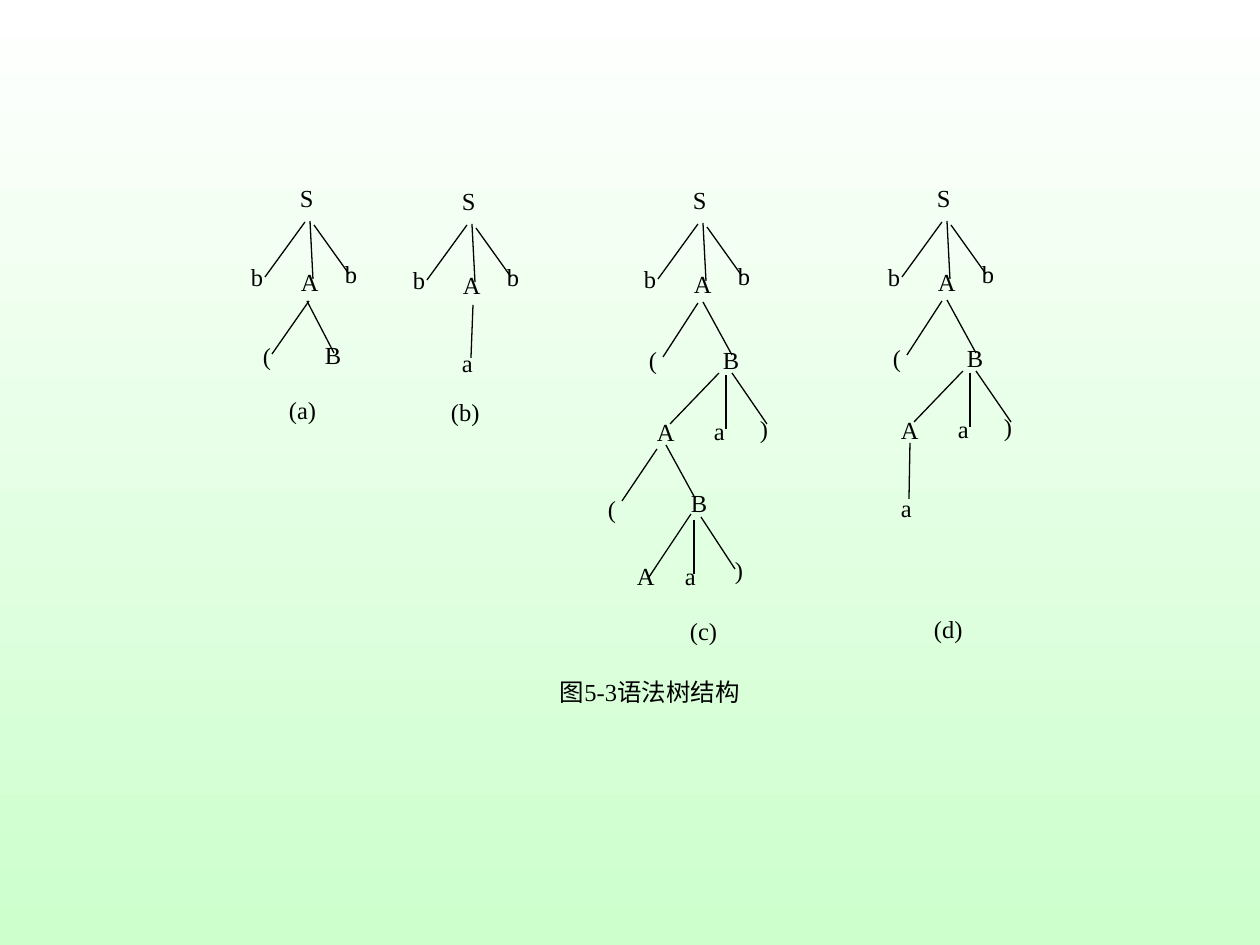
from dataclasses import dataclass

from lxml import etree
from pptx import Presentation
from pptx.dml.color import RGBColor
from pptx.enum.shapes import MSO_CONNECTOR
from pptx.enum.text import PP_ALIGN
from pptx.oxml.ns import qn
from pptx.slide import Slide
from pptx.util import Pt

PX = 914400 / 126
STRAIGHT = MSO_CONNECTOR.STRAIGHT
JUSTIFY, CENTER = PP_ALIGN.JUSTIFY, PP_ALIGN.CENTER
BLACK = RGBColor(0x00, 0x00, 0x00)
WHITE = RGBColor(0xFF, 0xFF, 0xFF)
LIGHT_GREEN = RGBColor(0xCC, 0xFF, 0xCC)

# Grammar productions: (symbol, its offset, edge start, edge end), from the parent
START = [("b", (-49, 79), (5, 39), (-35, 94)),
         ("A", (1, 84), (10, 38), (13, 96)),
         ("b", (45, 76), (14, 42), (49, 91))]
SHORT_PAIR = [("(", (-38, 74), (8, 34), (-29, 87)),
              ("B", (24, 73), (6, 34), (33, 86))]
UPPER_PAIR = [("(", (-45, 76), (4, 34), (-31, 88)),
              ("B", (29, 76), (9, 33), (38, 86))]
LOWER_PAIR = [("(", (-49, 77), (0, 32), (-35, 84)),
              ("B", (34, 71), (9, 28), (38, 81))]
UPPER_TRIPLE = [("A", (-66, 72), (-4, 28), (-53, 79)),
                ("a", (-9, 71), (3, 30), (3, 84)),
                (")", (37, 69), (9, 28), (44, 79))]
LOWER_TRIPLE = [("A", (-54, 73), (0, 26), (-42, 89)),
                ("a", (-6, 73), (3, 32), (3, 86)),
                (")", (44, 67), (10, 29), (44, 81))]
UPPER_LEAF = [("a", (-1, 78), (10, 35), (8, 88))]
LOWER_LEAF = [("a", (0, 78), (9, 28), (8, 84))]

# Each tree: label, place of S, label offset, steps of (production, child to expand)
TREES = [
    ("(a)", (300, 183), (-11, 212), [(START, 1), (SHORT_PAIR, 1)]),
    ("(b)", (462, 186), (-11, 211), [(START, 1), (UPPER_LEAF, 0)]),
    ("(c)", (693, 185), (-3, 431), [(START, 1), (UPPER_PAIR, 1), (UPPER_TRIPLE, 0),
                                    (LOWER_PAIR, 1), (LOWER_TRIPLE, 0)]),
    ("(d)", (937, 183), (-3, 431), [(START, 1), (UPPER_PAIR, 1), (UPPER_TRIPLE, 0),
                                    (LOWER_LEAF, 0)]),
]


def emu(*lengths):
    return [round(length * PX) for length in lengths]


def shift(origin, offset):
    return origin[0] + offset[0], origin[1] + offset[1]


def write(frame, text, *, font, size, color, align):
    frame.margin_left = frame.margin_top = frame.margin_right = frame.margin_bottom = 0
    frame.word_wrap = True
    paragraph = frame.paragraphs[0]
    paragraph.alignment = align
    run = paragraph.add_run()
    run.text = text
    run.font.name = font
    run.font.size = Pt(size)
    run.font.color.rgb = color


@dataclass
class TreeSlide:
    slide: Slide
    font: str = "Times New Roman"
    size: int = 14
    ink: RGBColor = BLACK
    edge_width: float = 0.75

    def background(self, top, bottom):
        fill = self.slide.background.fill
        fill.gradient()
        fill.gradient_angle = 270
        for stop, color, position in zip(fill.gradient_stops, (top, bottom), (0, 1)):
            stop.color.rgb = color
            stop.position = position

    def text(self, text, place, width=23, height=40, align=JUSTIFY):
        box = self.slide.shapes.add_textbox(*emu(*place, width, height))
        write(box.text_frame, text, font=self.font, size=self.size,
              color=self.ink, align=align)

    def edge(self, start, end):
        line = self.slide.shapes.add_connector(STRAIGHT, *emu(*start, *end))
        line.line.color.rgb = self.ink
        line.line.width = Pt(self.edge_width)
        etree.SubElement(line._element.spPr, qn("a:effectLst"))

    def tree(self, label, root, label_offset, steps):
        self.text("S", root)
        parent = root
        for production, expanded in steps:
            for symbol, offset, start, end in production:
                self.edge(shift(parent, start), shift(parent, end))
                self.text(symbol, shift(parent, offset))
            parent = shift(parent, production[expanded][1])
        self.text(label, shift(root, label_offset), width=37)


def main():
    presentation = Presentation()
    presentation.slide_width, presentation.slide_height = emu(1260, 945)
    page = TreeSlide(presentation.slides.add_slide(presentation.slide_layouts[6]))
    page.background(WHITE, LIGHT_GREEN)

    # Figure caption
    page.text("图5-3语法树结构", (538, 677), width=224, height=44, align=CENTER)

    # Syntax trees
    for tree in TREES:
        page.tree(*tree)

    presentation.save("out.pptx")


if __name__ == "__main__":
    main()
